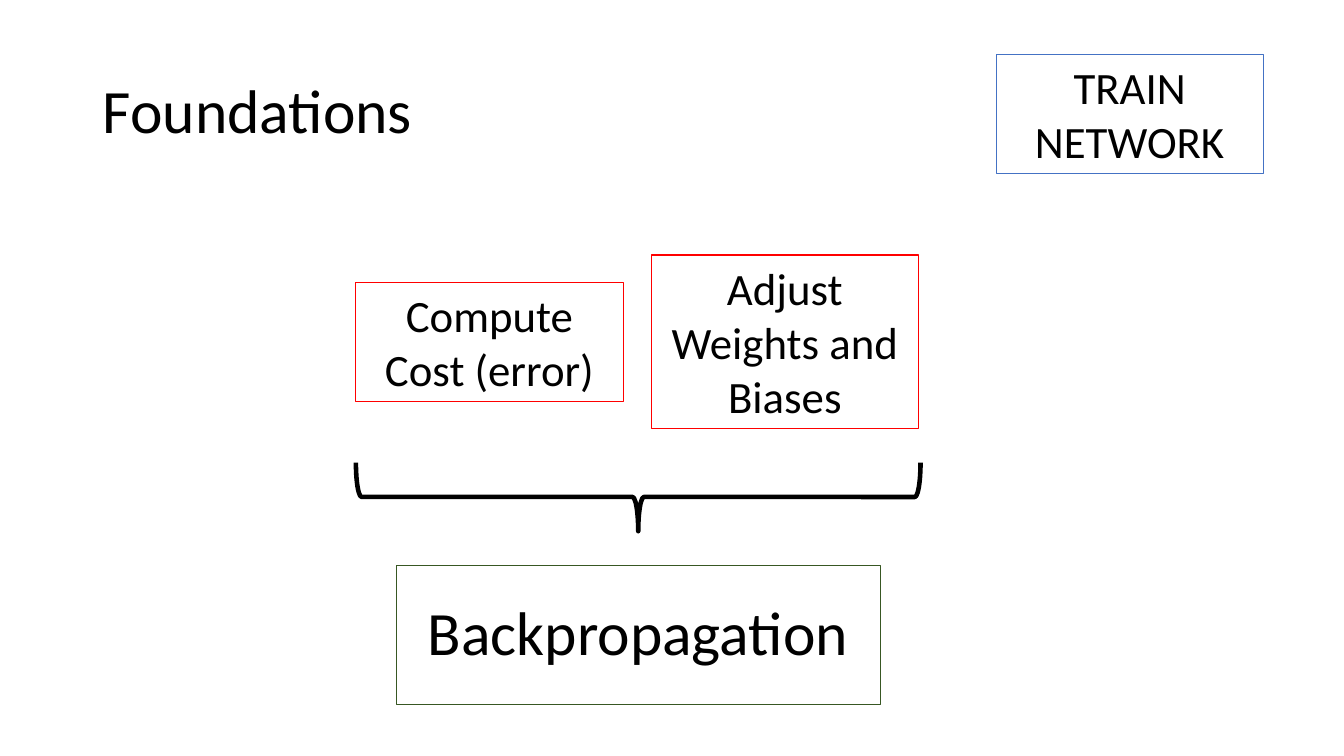
from pptx import Presentation
from pptx.dml.color import RGBColor
from pptx.enum.shapes import MSO_SHAPE as Shape
from pptx.enum.text import MSO_ANCHOR as Anchor, MSO_AUTO_SIZE as AutoSize, PP_ALIGN as Align
from pptx.util import Inches, Pt

BLACK, RED, BLUE, GREEN = "000000", "FF0000", "4472C4", "385723"
STEP_WIDTH, STEP_GAP = 2.65, 0.28


def colour(value):
    """Turn a hex string into a colour."""
    return RGBColor.from_string(value)


def write(shape, text, size, align, spacing):
    """Set one paragraph of black text, centred vertically in a shape."""
    frame = shape.text_frame
    frame.text = text
    frame.word_wrap = True
    frame.auto_size = AutoSize.NONE
    frame.vertical_anchor = Anchor.MIDDLE
    para = frame.paragraphs[0]
    para.alignment = align
    para.line_spacing = spacing
    font = para.runs[0].font
    for name, value in {"name": "Calibri", "size": Pt(size), "bold": False}.items():
        setattr(font, name, value)
    font.color.rgb = colour(BLACK)


def add_outline(page, kind, box, line, weight):
    """Draw an unfilled shape in the given box."""
    shape = page.shapes.add_shape(kind, *map(Inches, box))
    shape.shadow.inherit = False
    shape.fill.background()
    shape.line.color.rgb = colour(line)
    shape.line.width = Pt(weight)
    return shape


def add_label(page, text, box, line, size=32, spacing=1.0):
    """Draw an outlined rectangle with centred text."""
    shape = add_outline(page, Shape.RECTANGLE, box, line, 0.75)
    write(shape, text, size, Align.CENTER, spacing)


def add_title(page, text, box):
    """Place and format the title placeholder."""
    title = page.shapes.title
    title.left, title.top, title.width, title.height = map(Inches, box)
    write(title, text, 44, Align.LEFT, 0.9)


def add_steps(page, steps, left, middle):
    """Place the steps side by side, centred on one height."""
    for index, (text, height) in enumerate(steps):
        x = left + index * (STEP_WIDTH + STEP_GAP)
        add_label(page, text, (x, middle - height / 2, STEP_WIDTH, height), RED)


def add_brace(page, box):
    """Draw a brace that spans the box and points down."""
    left, top, width, height = box
    upright = (left + (width - height) / 2, top + (height - width) / 2, height, width)
    brace = add_outline(page, Shape.RIGHT_BRACE, upright, BLACK, 3.25)
    brace.rotation = 90


def add_summary(page, box):
    """Place the steps, the brace below them and the name of the whole."""
    left, top, width, height = box
    steps = [("Compute Cost (error)", 1.18), ("Adjust Weights and Biases", 1.72)]
    add_steps(page, steps, left, top + 0.86)
    add_brace(page, (left, top + 2.06, width, 0.68))
    name_width, name_height = 4.8, 1.38
    name_box = (left + (width - name_width) / 2, top + height - name_height, name_width, name_height)
    add_label(page, "Backpropagation", name_box, GREEN, 44, 0.9)


def main():
    """Build and save the deck."""
    deck = Presentation()
    deck.slide_width, deck.slide_height = Inches(13.33), Inches(7.5)
    page = deck.slides.add_slide(deck.slide_layouts[5])
    add_title(page, "Foundations", (0.92, 0.4, 11.5, 1.45))
    add_summary(page, (3.53, 2.53, 5.6, 4.46))
    add_label(page, "TRAIN NETWORK", (9.88, 0.54, STEP_WIDTH, 1.18), BLUE)
    deck.save("out.pptx")


if __name__ == "__main__":
    main()
